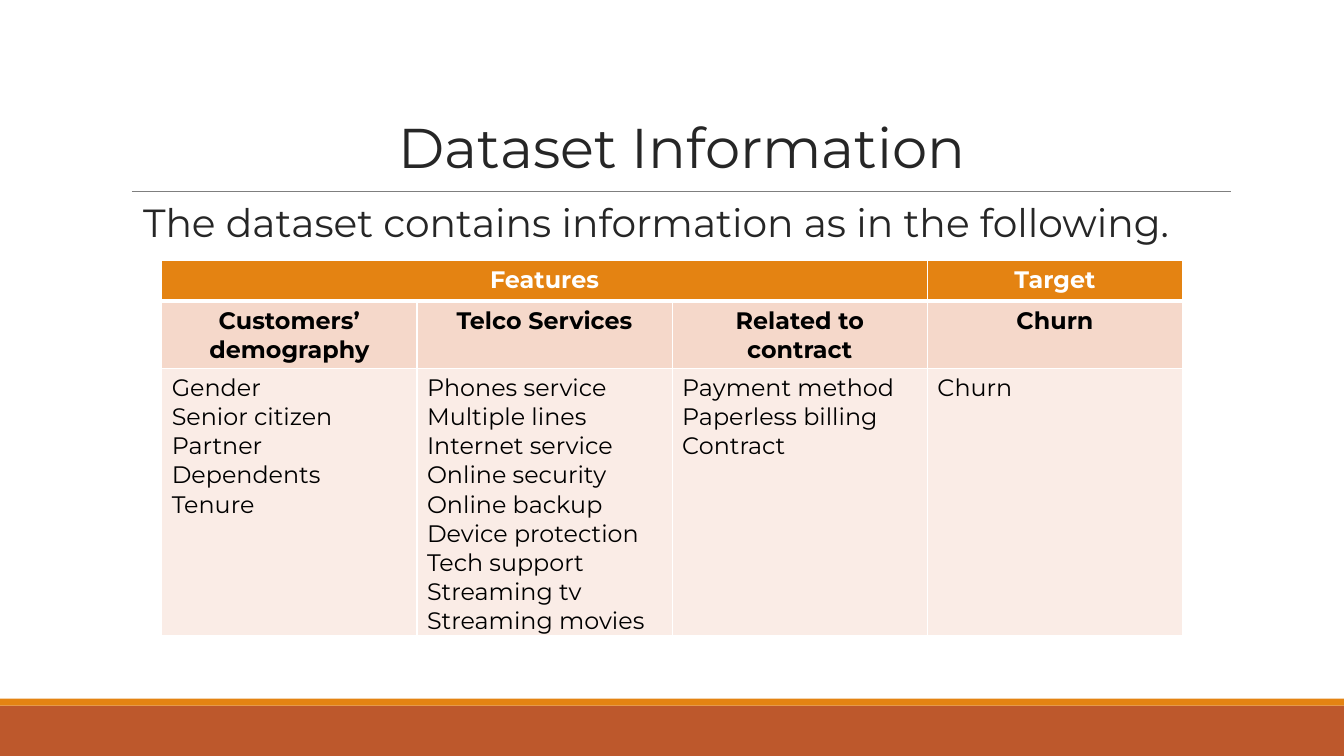
from dataclasses import dataclass

from lxml import etree
from pptx import Presentation
from pptx.dml.color import RGBColor
from pptx.enum import shapes, text
from pptx.oxml.ns import qn
from pptx.util import Pt

C = {"ink": "262626", "black": "000000", "white": "FFFFFF", "rule": "7F7F7F",
     "orange": "E48312", "rust": "BD582C", "peach": "F5D8CA", "cream": "FAECE6"}
FONT = "Montserrat"
LEFT, CENTER = text.PP_ALIGN.LEFT, text.PP_ALIGN.CENTER


@dataclass
class Band:
    top: float
    height: float
    color: str


@dataclass
class Row:
    height: float
    fill: str
    color: str
    bold: bool
    align: int
    cells: list[list[str]]
    top_line: float = 1
    bottom_line: float = 1


BANDS = [Band(504, 36, "rust"), Band(499, 5, "orange")]
ROWS = [
    Row(29.2, "orange", "white", True, CENTER,
        [["Features"], [], [], ["Target"]], bottom_line=3),
    Row(48.2, "peach", "black", True, CENTER,
        [["Customers’ demography"], ["Telco Services"],
         ["Related to contract"], ["Churn"]], top_line=3),
    Row(190, "cream", "black", False, LEFT,
        [["Gender", "Senior citizen", "Partner", "Dependents", "Tenure"],
         ["Phones service", "Multiple lines", "Internet service",
          "Online security", "Online backup", "Device protection",
          "Tech support", "Streaming tv", "Streaming movies"],
         ["Payment method", "Paperless billing", "Contract"],
         ["Churn"]]),
]


def rgb(name: str) -> RGBColor:
    return RGBColor.from_string(C[name])


def write(tf, lines: list[str], *, size: float, color: str = "ink",
          bold: bool = False, align: int = LEFT, spacing: float = 1.0) -> None:
    for i, line in enumerate(lines):
        p = tf.paragraphs[0] if i == 0 else tf.add_paragraph()
        p.alignment, p.line_spacing = align, spacing
        r = p.add_run()
        r.text = line
        r.font.name, r.font.size, r.font.bold = FONT, Pt(size), bold
        r.font.color.rgb = rgb(color)


def add_band(s, band: Band, width: int) -> None:
    sp = s.shapes.add_shape(shapes.MSO_SHAPE.RECTANGLE, 0, Pt(band.top),
                            width, Pt(band.height))
    sp.shadow.inherit = False
    sp.fill.solid()
    sp.fill.fore_color.rgb = rgb(band.color)
    sp.line.fill.background()


def set_borders(cell, row: Row) -> None:
    widths = {"a:lnL": 1, "a:lnR": 1, "a:lnT": row.top_line, "a:lnB": row.bottom_line}
    tcPr = cell._tc.get_or_add_tcPr()
    for i, (tag, width) in enumerate(widths.items()):
        ln = etree.Element(qn(tag), w=str(Pt(width)))
        fill = etree.SubElement(ln, qn("a:solidFill"))
        etree.SubElement(fill, qn("a:srgbClr"), val=C["white"])
        tcPr.insert(i, ln)


def add_features_table(s) -> None:
    cols = len(ROWS[0].cells)
    col_width = 182.3
    tbl = s.shapes.add_table(len(ROWS), cols, Pt(115.5), Pt(186), Pt(col_width * cols),
                             Pt(sum(row.height for row in ROWS))).table
    for col in tbl.columns:
        col.width = Pt(col_width)
    for y, row in enumerate(ROWS):
        tbl.rows[y].height = Pt(row.height)
        for x, lines in enumerate(row.cells):
            cell = tbl.cell(y, x)
            cell.fill.solid()
            cell.fill.fore_color.rgb = rgb(row.fill)
            set_borders(cell, row)
            write(cell.text_frame, lines, size=17, color=row.color,
                  bold=row.bold, align=row.align)
    tbl.cell(0, 0).merge(tbl.cell(0, 2))


def main() -> None:
    prs = Presentation()
    prs.slide_width, prs.slide_height = Pt(960), Pt(540)
    s = prs.slides.add_slide(prs.slide_layouts[5])

    # Footer bands
    for band in BANDS:
        add_band(s, band, prs.slide_width)

    # Rule under the heading
    rule = s.shapes.add_connector(shapes.MSO_CONNECTOR.STRAIGHT,
                                  Pt(94.3), Pt(136.6), Pt(879), Pt(136.6))
    rule.line.color.rgb = rgb("rule")
    rule.line.width = Pt(0.75)
    etree.SubElement(rule._element.spPr, qn("a:effectLst"))

    # Introductory sentence in the title placeholder
    title = s.shapes.title
    title.left, title.top, title.width, title.height = Pt(95), Pt(143.3), Pt(795), Pt(36)
    tf = title.text_frame
    tf.auto_size = text.MSO_AUTO_SIZE.NONE
    tf.vertical_anchor = text.MSO_ANCHOR.MIDDLE
    write(tf, ["The dataset contains information as in the following."],
          size=28, spacing=0.85)

    # Heading
    tf = s.shapes.add_textbox(Pt(254), Pt(77), Pt(466), Pt(55.4)).text_frame
    tf.word_wrap = True
    write(tf, ["Dataset Information"], size=40, align=CENTER)

    # Table of features and target
    add_features_table(s)

    prs.save("out.pptx")


if __name__ == "__main__":
    main()
